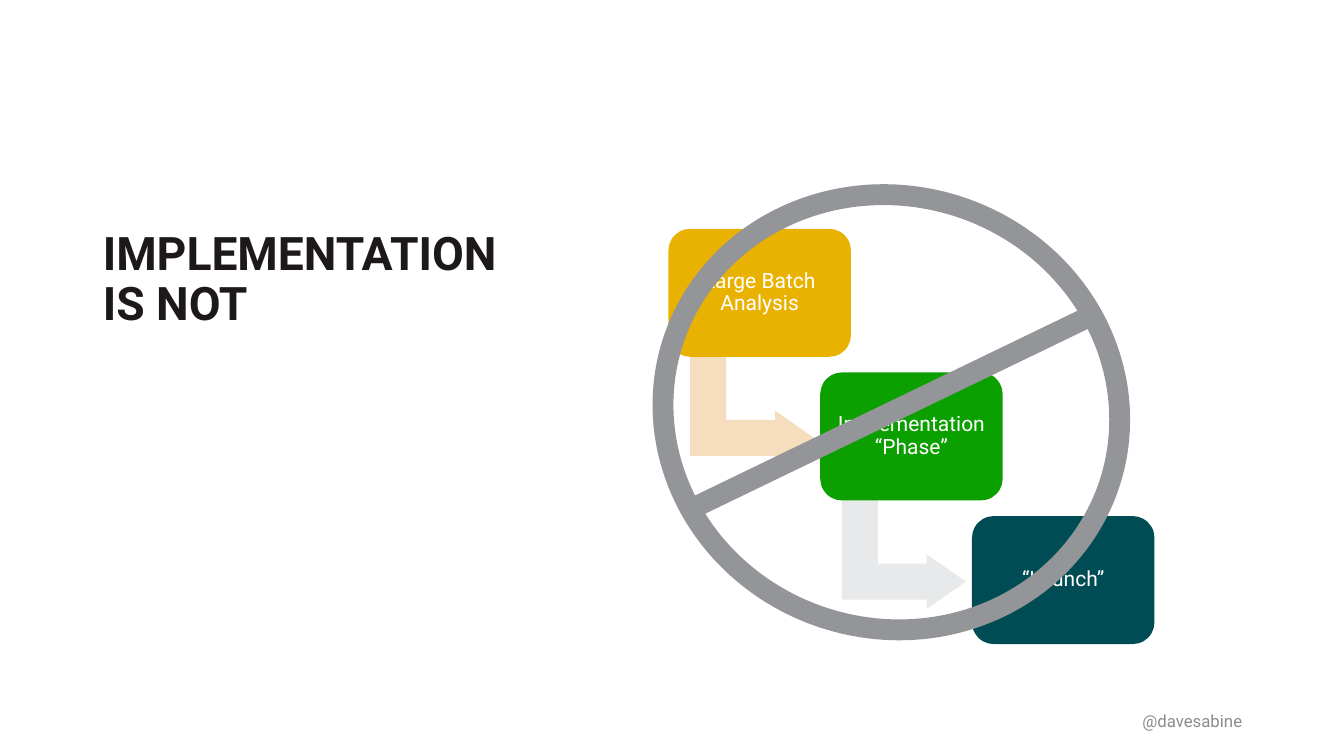
from pptx import Presentation
from pptx.dml.color import RGBColor
from pptx.enum.shapes import MSO_SHAPE as SHAPE
from pptx.enum.text import MSO_ANCHOR as ANCHOR, PP_ALIGN as ALIGN
from pptx.util import Inches, Pt

WHITE = RGBColor(0xFF, 0xFF, 0xFF)
INK = RGBColor(0x1E, 0x19, 0x19)
FOOTER_GRAY = RGBColor(0x8D, 0x8C, 0x8C)
SIGN_GRAY = RGBColor(0x93, 0x95, 0x98)
GOLD = RGBColor(0xEA, 0xB2, 0x00)
GREEN = RGBColor(0x0B, 0x9F, 0x00)
TEAL = RGBColor(0x00, 0x4C, 0x54)
PEACH = RGBColor(0xF5, 0xDD, 0xBD)
PALE_GRAY = RGBColor(0xE8, 0xE9, 0xEA)

prs = Presentation()
prs.slide_width, prs.slide_height = Inches(13.33), Inches(7.5)
s = prs.slides.add_slide(prs.slide_layouts[5])


def add_shape(kind, x, y, w, h, color, adjustments, rotation=0):
    sp = s.shapes.add_shape(kind, Inches(x), Inches(y), Inches(w), Inches(h))
    sp.shadow.inherit = False
    sp.fill.solid()
    sp.fill.fore_color.rgb = color
    sp.line.fill.background()
    sp.rotation = rotation
    for i, value in enumerate(adjustments):
        sp.adjustments[i] = value
    return sp


def write(sp, text, size, color, align, anchor, bold=False, spacing=1.0):
    tf = sp.text_frame
    tf.word_wrap = True
    tf.vertical_anchor = anchor
    p = tf.paragraphs[0]
    p.alignment = align
    p.line_spacing = spacing
    r = p.add_run()
    r.text = text
    r.font.name = "Roboto"
    r.font.size = Pt(size)
    r.font.bold = bold
    r.font.color.rgb = color
    return tf


title = s.shapes.title
title.left, title.top = Inches(0.92), Inches(2.24)
title.width, title.height = Inches(4.3), Inches(4.17)
write(title, "IMPLEMENTATION IS NOT", 33, INK, ALIGN.LEFT, ANCHOR.TOP, True, 0.9)

steps = [
    ("Large Batch Analysis", GOLD, PEACH),
    ("Implementation “Phase”", GREEN, PALE_GRAY),
    ("“Launch”", TEAL, None),
]
for i, (label, color, arrow_color) in enumerate(steps):
    x = 6.63 + i * (9.64 - 6.63) / 2
    y = 2.27 + i * (5.12 - 2.27) / 2
    if arrow_color is not None:
        add_shape(SHAPE.BENT_UP_ARROW, x + 0.29, y + 1.19, 1.08, 1.23,
                  arrow_color, [0.33, 0.25, 0.36], 90)
    box = add_shape(SHAPE.ROUNDED_RECTANGLE, x, y, 1.81, 1.27, color, [0.17])
    tf = write(box, label, 15, WHITE, ALIGN.CENTER, ANCHOR.MIDDLE, spacing=0.9)
    tf.margin_left = tf.margin_right = Inches(0.06)
    tf.margin_top = tf.margin_bottom = Inches(0.06)

handle = s.shapes.add_textbox(Inches(7.92), Inches(6.95), Inches(4.5), Inches(0.4))
write(handle, "@davesabine", 12, FOOTER_GRAY, ALIGN.RIGHT, ANCHOR.MIDDLE)

add_shape(SHAPE.NO_SYMBOL, 6.59, 1.71, 4.5, 4.76, SIGN_GRAY, [0.046], 107.6)

prs.save("out.pptx")
